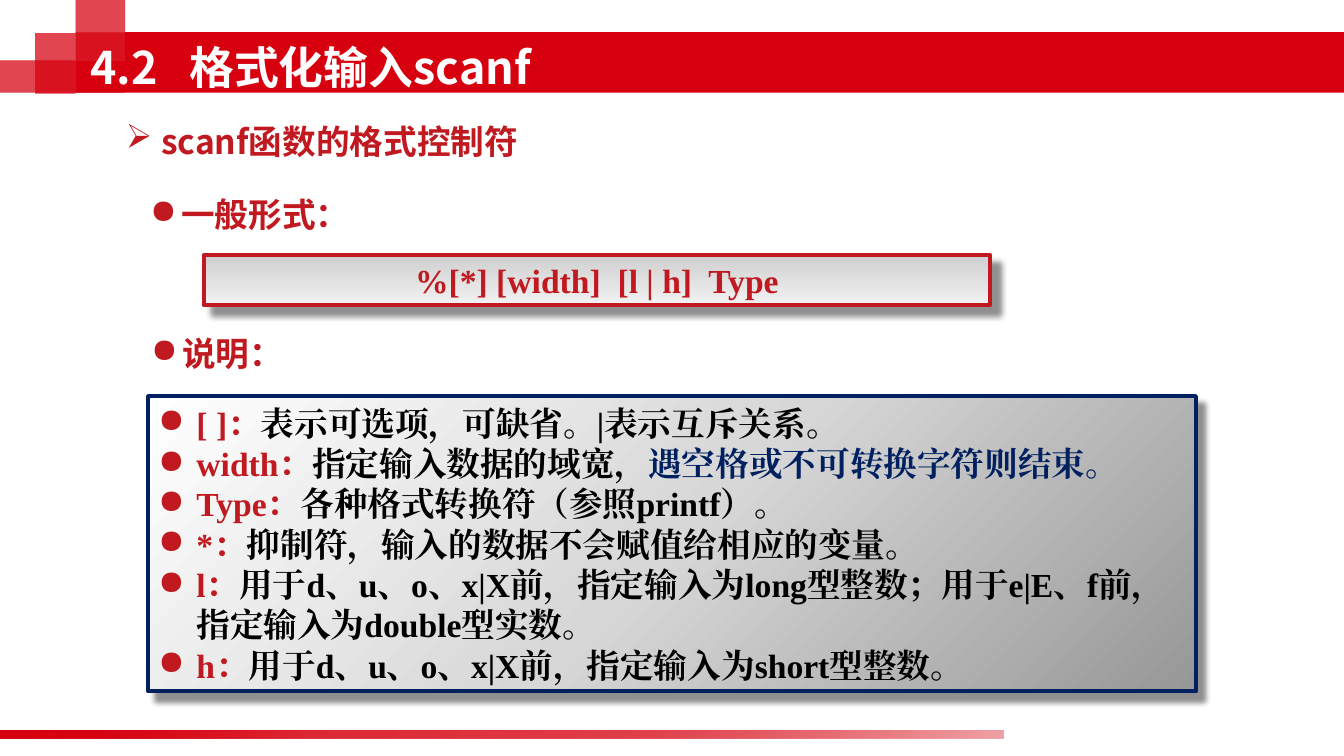
from lxml import etree
from pptx import Presentation
from pptx.dml.color import RGBColor
from pptx.enum.shapes import MSO_SHAPE
from pptx.enum.text import MSO_ANCHOR, MSO_AUTO_SIZE, PP_ALIGN
from pptx.oxml.ns import qn
from pptx.util import Emu, Pt

RECTANGLE = MSO_SHAPE.RECTANGLE
TOP, MIDDLE = MSO_ANCHOR.TOP, MSO_ANCHOR.MIDDLE
LEFT, CENTER = PP_ALIGN.LEFT, PP_ALIGN.CENTER
GROW, FIXED = MSO_AUTO_SIZE.SHAPE_TO_FIT_TEXT, MSO_AUTO_SIZE.NONE
EMU_PER_PX = 9144
SANS, SERIF = "Noto Sans CJK SC", "Times New Roman"
BANNER, RED, NAVY, BLACK, WHITE = "D7000F", "C01920", "002060", "000000", "FFFFFF"

BANNER_SQUARES = [(0, 60, 124, 32), (35, 33, 40, 60), (75, -2, 49, 62), (75, 32, 49, 28)]
FOOTER_STOPS = [(0, BANNER, 100), (31, BANNER, 60), (64, BANNER, 50), (100, BANNER, 20)]
FORMULA_STOPS = [(0, "CFCFD1", 100), (100, "F2F2F2", 100)]
NOTES_STOPS = [(0, "979797", 100), (50, "D7D7D7", 100), (100, WHITE, 100)]
HEADINGS = [
    ("scanf函数的格式控制符", "➢", 115, 115, 526, 35),
    ("一般形式：", "●", 139, 187, 263, 31),
    ("说明：", "●", 140, 325, 263, 31),
]
NOTES = [
    [("[ ]：", RED), ("表示可选项，可缺省。|表示互斥关系。", BLACK)],
    [("width：", RED), ("指定输入数据的域宽，", BLACK), ("遇空格或不可转换字符则结束。", NAVY)],
    [("Type：", RED), ("各种格式转换符（参照printf）。", BLACK)],
    [("*：", RED), ("抑制符，输入的数据不会赋值给相应的变量。", BLACK)],
    [("l：", RED), ("用于d、u、o、x|X前，指定输入为long型整数；"
                   "用于e|E、f前，指定输入为double型实数。", BLACK)],
    [("h：", RED), ("用于d、u、o、x|X前，指定输入为short型整数。", BLACK)],
]


def px(value):
    return Emu(value * EMU_PER_PX)


def color(value):
    return RGBColor.from_string(value)


def add_element(parent, tag, **attributes):
    element = etree.SubElement(parent, qn(tag))
    for name, value in attributes.items():
        element.set(name, str(value))
    return element


def add_color(parent, value, opacity):
    element = add_element(parent, "a:srgbClr", val=value)
    if opacity < 100:
        add_element(element, "a:alpha", val=opacity * 1000)


class SlideBuilder:
    """Draws styled elements on one slide, measured in px."""

    def __init__(self, slide):
        self.slide = slide

    def rectangle(self, left, top, width, height, fill=BANNER, opacity=100):
        shape = self.slide.shapes.add_shape(
            RECTANGLE, px(left), px(top), px(width), px(height))
        shape.shadow.inherit = False
        shape.line.fill.background()
        shape.fill.solid()
        shape.fill.fore_color.rgb = color(fill)
        if opacity < 100:
            fill_color = shape.element.spPr.find(qn("a:solidFill"))[0]
            add_element(fill_color, "a:alpha", val=opacity * 1000)
        return shape

    def gradient(self, left, top, width, height, stops, angle):
        shape = self.rectangle(left, top, width, height)
        shape.fill.gradient()
        gradient = shape.element.spPr.find(qn("a:gradFill"))
        for child in list(gradient):
            gradient.remove(child)
        stop_list = add_element(gradient, "a:gsLst")
        for position, value, opacity in stops:
            add_color(add_element(stop_list, "a:gs", pos=position * 1000), value, opacity)
        add_element(gradient, "a:lin", ang=angle * 60000, scaled=0)
        return shape

    def panel(self, left, top, width, height, stops, angle, outline):
        shape = self.gradient(left, top, width, height, stops, angle)
        shape.line.color.rgb = color(outline)
        shape.line.width = Pt(3)
        effects = shape.element.spPr.find(qn("a:effectLst"))
        shadow = add_element(effects, "a:outerShdw", blurRad=Pt(4), dist=Pt(8.4),
                             dir=45 * 60000, algn="tl", rotWithShape=0)
        add_color(shadow, BLACK, 43)
        return shape

    def text_box(self, left, top, width, height):
        return self.slide.shapes.add_textbox(px(left), px(top), px(width), px(height))

    def set_text(self, shape, lines, font, size=24, anchor=TOP, align=LEFT,
                 bullet=None, indent=0, tab=None, resize=GROW):
        frame = shape.text_frame
        frame.word_wrap = True
        frame.auto_size = resize
        frame.vertical_anchor = anchor
        for index, runs in enumerate(lines):
            paragraph = frame.paragraphs[0] if index == 0 else frame.add_paragraph()
            paragraph.alignment = align
            properties = paragraph._p.get_or_add_pPr()
            if bullet:
                properties.set("marL", str(px(indent)))
                properties.set("indent", str(px(-indent)))
                add_color(add_element(properties, "a:buClr"), RED, 100)
                add_element(properties, "a:buChar", char=bullet)
            if tab:
                tabs = add_element(properties, "a:tabLst")
                add_element(tabs, "a:tab", pos=px(tab), algn="l")
            paragraph.font.name = font
            paragraph.font.size = Pt(size)
            paragraph.font.bold = True
            if len(runs) == 1:
                paragraph.font.color.rgb = color(runs[0][1])
            add_element(properties.find(qn("a:defRPr")), "a:ea", typeface=font)
            for text, value in runs:
                run = paragraph.add_run()
                run.text = text
                if len(runs) > 1:
                    run.font.color.rgb = color(value)


def main():
    presentation = Presentation()
    presentation.slide_width, presentation.slide_height = px(1333), px(750)
    builder = SlideBuilder(presentation.slides.add_slide(presentation.slide_layouts[6]))

    for banner in [(124, 32, 1209, 60), (75, 60, 49, 32)]:
        for square in BANNER_SQUARES:
            builder.rectangle(*square, opacity=48)
        builder.rectangle(*banner)
        builder.gradient(-2, 725, 997, 8, FOOTER_STOPS, 40)

    for text, bullet, left, top, width, indent in HEADINGS:
        heading = builder.text_box(left, top, width, 50)
        builder.set_text(heading, [[(text, RED)]], SANS, bullet=bullet, indent=indent)

    formula = builder.panel(202, 253, 780, 50, FORMULA_STOPS, 90, RED)
    builder.set_text(formula, [[("%[*] [width]  [l | h]  Type", RED)]], SERIF, align=CENTER)

    notes = builder.panel(147, 393, 1039, 293, NOTES_STOPS, 225, NAVY)
    builder.set_text(notes, NOTES, SERIF, anchor=MIDDLE, bullet="●", indent=38, tab=58)

    title = builder.text_box(80, 33, 890, 67)
    builder.set_text(title, [[("4.2\t格式化输入scanf", WHITE)]], SANS, size=32,
                     anchor=MIDDLE, tab=98, resize=FIXED)
    presentation.save("out.pptx")


if __name__ == "__main__":
    main()
